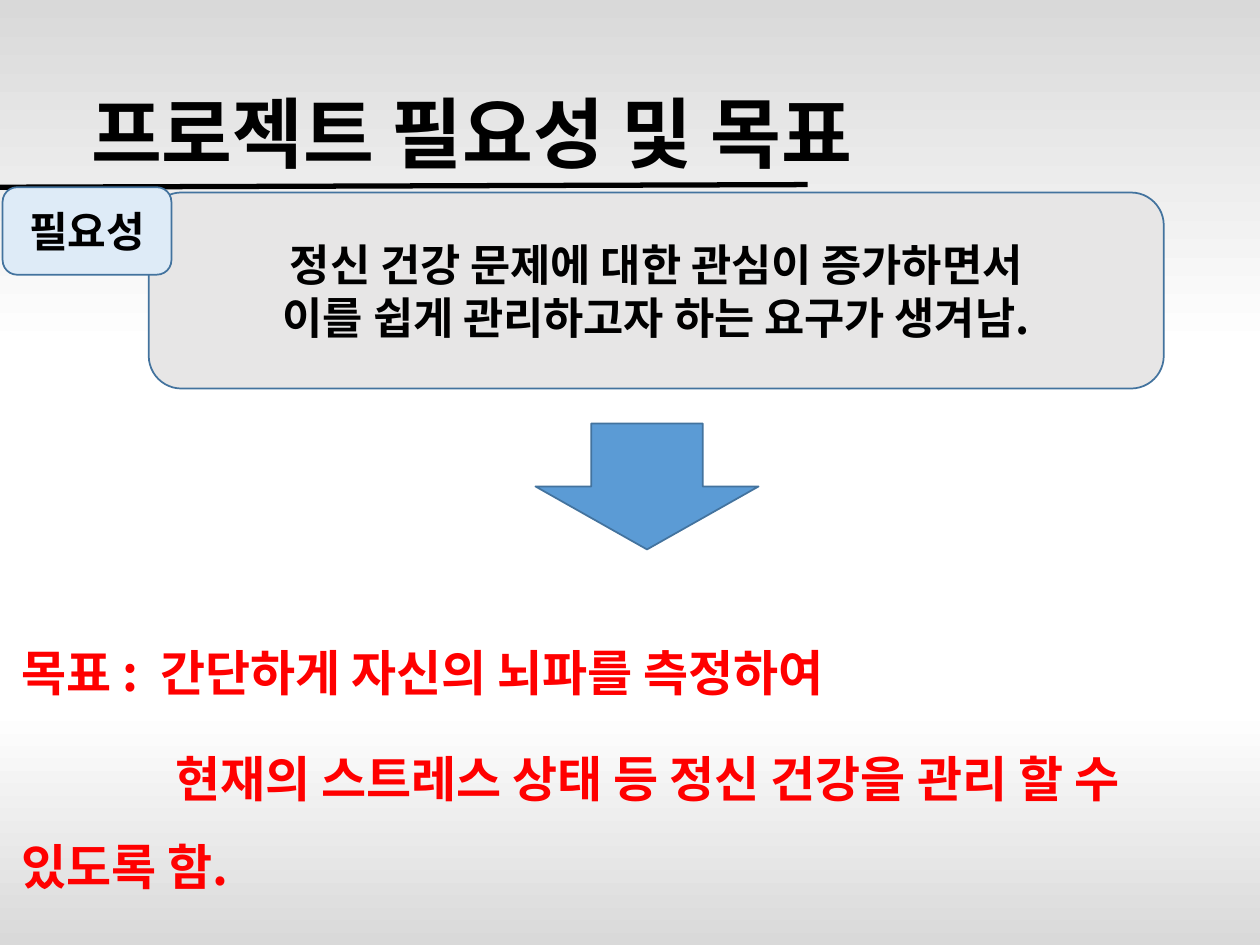
from lxml.etree import SubElement
from pptx import Presentation
from pptx.dml.color import RGBColor as RGB
from pptx.enum.shapes import MSO_CONNECTOR as CONN, MSO_SHAPE as SHAPE
from pptx.enum.text import MSO_ANCHOR as ANCHOR, PP_ALIGN as ALIGN
from pptx.oxml.ns import qn
from pptx.util import Pt

TITLE = ["프로젝트 필요성 및 목표"]
NEED_LABEL = ["필요성"]
NEED = ["정신 건강 문제에 대한 관심이 증가하면서",
        "이를 쉽게 관리하고자 하는 요구가 생겨남."]
GOAL = ["목표 :  간단하게 자신의 뇌파를 측정하여",
        "현재의 스트레스 상태 등 정신 건강을 관리 할 수 있도록 함."]

THEME = {
    "font": "Noto Sans CJK KR", "label_font": "Calibri",
    "title": 44, "goal": 28, "need": 25, "label": 24,
    "ink": "000000", "accent": "FF0000", "outline": "43739E",
    "panel": "E7E6E6", "tag": "DEEBF7", "arrow": "5B9BD5",
    "background": [(0, "D9D9D9"), (37, "FFFFFF"), (75, "FFFFFF"), (100, "D9D9D9")],
}


def color(name):
    return RGB.from_string(THEME[name])


def set_background(s):
    fill = s.background.fill
    fill.gradient()
    fill.gradient_angle = 270
    stops = s.background._cSld.find(".//" + qn("a:gsLst"))
    stops.clear()
    for pos, rgb in THEME["background"]:
        stop = SubElement(stops, qn("a:gs"), pos=str(pos * 1000))
        SubElement(stop, qn("a:srgbClr"), val=rgb)


def write(sp, lines, size, ink="ink", font="font", anchor=ANCHOR.MIDDLE,
          align=ALIGN.CENTER, spacing=None, before=None):
    tf = sp.text_frame
    tf.word_wrap = True
    tf.vertical_anchor = anchor
    tf.text = "\n".join(lines)
    for p in tf.paragraphs:
        p.alignment = align
        p.line_spacing = spacing
        p.space_before = before
        for r in p.runs:
            r.font.name = THEME[font]
            r.font.size = Pt(THEME[size])
            r.font.bold = True
            r.font.color.rgb = color(ink)
            SubElement(r.font._element, qn("a:ea"), typeface=THEME["font"])
    return tf


def add_text(s, box, lines, size, **style):
    sp = s.shapes.add_textbox(*map(Pt, box))
    return write(sp, lines, size, align=ALIGN.LEFT, **style)


def add_shape(s, kind, box, fill):
    sp = s.shapes.add_shape(kind, *map(Pt, box))
    sp.shadow.inherit = False
    sp.fill.solid()
    sp.fill.fore_color.rgb = color(fill)
    sp.line.color.rgb = color("outline")
    sp.line.width = Pt(1)
    return sp


def add_rule(s, start, end):
    rule = s.shapes.add_connector(CONN.STRAIGHT, *map(Pt, start + end))
    rule.line.color.rgb = color("ink")
    rule.line.width = Pt(3)
    SubElement(rule._element.spPr, qn("a:effectLst"))


def main():
    prs = Presentation()
    prs.slide_width, prs.slide_height = Pt(720), Pt(540)
    s = prs.slides.add_slide(prs.slide_layouts[6])
    set_background(s)

    add_text(s, (45, 26.5, 621, 104.5), TITLE, "title", spacing=0.9)
    tf = add_text(s, (5, 347, 710, 114), GOAL, "goal", ink="accent",
                  anchor=ANCHOR.TOP, spacing=1.5, before=Pt(10))
    tf.paragraphs[1]._p.get_or_add_pPr().set("indent", str(Pt(88)))

    add_rule(s, (0, 107), (461.5, 105.5))
    panel = add_shape(s, SHAPE.ROUNDED_RECTANGLE, (85, 110, 580, 112), "panel")
    write(panel, NEED, "need")
    tag = add_shape(s, SHAPE.ROUNDED_RECTANGLE, (1.5, 107, 96.5, 50), "tag")
    write(tag, NEED_LABEL, "label", font="label_font")
    add_shape(s, SHAPE.DOWN_ARROW, (306, 242, 127.5, 72), "arrow")

    prs.save("out.pptx")


if __name__ == "__main__":
    main()
